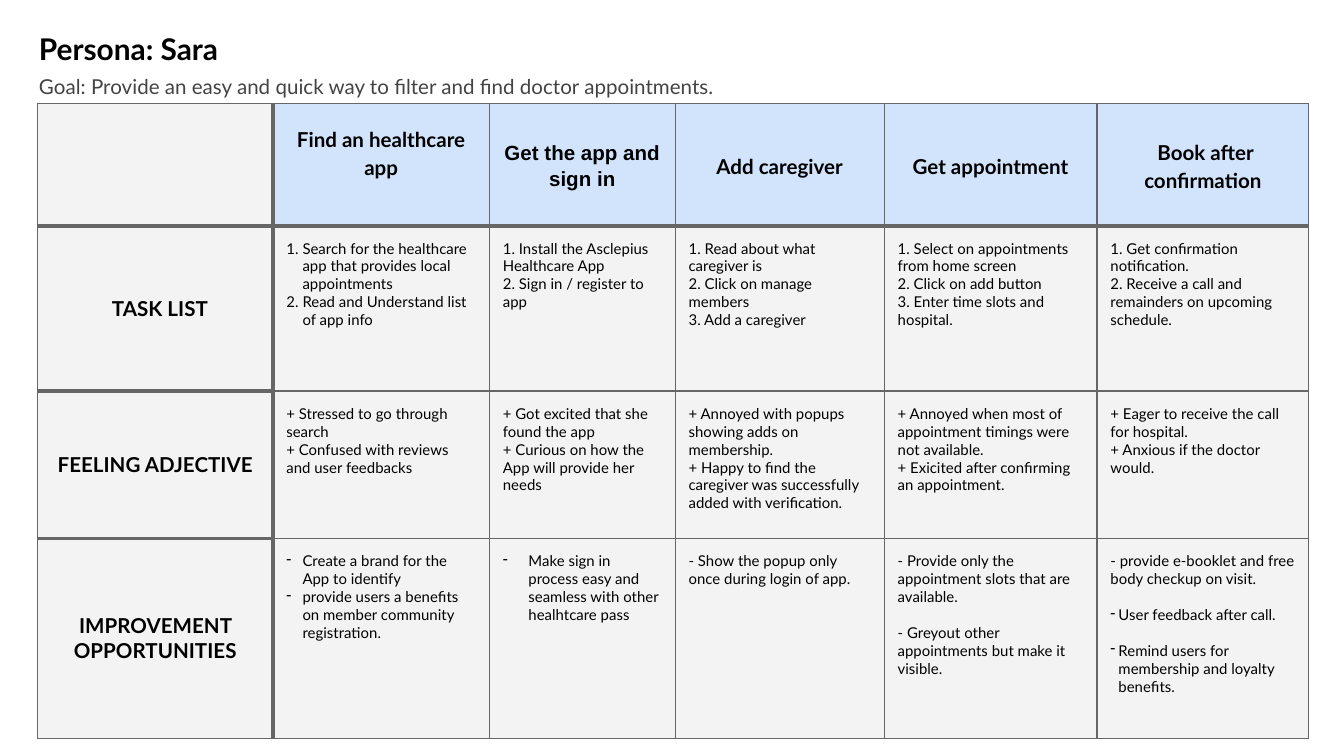
from collections import namedtuple

from lxml.etree import SubElement
from pptx import Presentation
from pptx.dml.color import RGBColor
from pptx.enum.text import MSO_ANCHOR as Anchor, MSO_AUTO_SIZE as AutoSize, PP_ALIGN as Align
from pptx.oxml.ns import qn
from pptx.util import Pt

Item = namedtuple("Item", "text marker indent hang gap", defaults=("", 0, 0, 0))


def numbered(text):
    return Item(text, "1.", 8.64, 8.64)


def dashed(text, indent=8.64, gap=0):
    return Item(text, "-", indent, indent, gap)


TITLE = "Persona: Sara"
GOAL = "Goal: Provide an easy and quick way to filter and find doctor appointments."
STEPS = ["Find an healthcare app", "Get the app and sign in", "Add caregiver",
         "Get appointment", " Book after confirmation"]
ROWS = [
    (Item("TASK LIST", indent=13.68, hang=8.64), [
        [numbered("Search for the healthcare app that provides local appointments"),
         numbered("Read and Understand list of app info")],
        [Item("1. Install the Asclepius Healthcare App"), Item("2. Sign in / register to app")],
        [Item("1. Read about what caregiver is"), Item("2. Click on manage members"),
         Item("3. Add a caregiver")],
        [Item("1. Select on appointments from home screen"), Item("2. Click on add button"),
         Item("3. Enter time slots and hospital.")],
        [Item("1. Get confirmation notification."),
         Item("2. Receive a call and remainders on upcoming schedule.")],
    ]),
    (Item("FEELING ADJECTIVE"), [
        [Item("+ Stressed to go through search"),
         Item("+ Confused with reviews and user feedbacks")],
        [Item("+ Got excited that she found the app"),
         Item("+ Curious on how the App will provide her needs")],
        [Item("+ Annoyed with popups showing adds on membership."),
         Item("+ Happy to find the caregiver was successfully added with verification.")],
        [Item("+ Annoyed when most of appointment timings were not available."),
         Item("+ Exicited after confirming an appointment.")],
        [Item("+ Eager to receive the call for hospital."), Item("+ Anxious if the doctor would.")],
    ]),
    (Item("IMPROVEMENT OPPORTUNITIES"), [
        [dashed("Create a brand for the App to identify"),
         dashed("provide users a benefits on member community registration.")],
        [dashed("Make sign in process easy and seamless with other healhtcare pass", 13.68)],
        [Item("- Show the popup only once during login of app.")],
        [Item("- Provide only the appointment slots that are available."),
         Item("- Greyout other appointments but make it visible.", gap=9.6)],
        [Item("- provide e-booklet and free body checkup on visit."),
         dashed("User feedback after call.", 4.32, 9.6),
         dashed("Remind users for membership and loyalty benefits.", 4.32, 9.6)],
    ]),
]
WIDTHS = [126, 116, 99.5, 112, 114, 113.5]
HEIGHTS = [65.5, 88.5, 79, 107]
BLACK, GREY, LINE, PALE, BLUE = "000000", "434343", "666666", "F3F3F3", "D2E3FC"
INSET = 7.2


def rgb(code):
    return RGBColor.from_string(code)


def set_insets(holder):
    for side in ("left", "right", "top", "bottom"):
        setattr(holder, f"margin_{side}", Pt(INSET))


def set_font(paragraph, size, color=BLACK, bold=False, name="Lato"):
    font = paragraph.font
    font.size, font.bold, font.name = Pt(size), bold, name
    font.color.rgb = rgb(color)


def fill_heading(placeholder, text, box, size, color, bold):
    placeholder.left, placeholder.top, placeholder.width, placeholder.height = map(Pt, box)
    frame = placeholder.text_frame
    frame.text = text
    frame.auto_size, frame.word_wrap, frame.vertical_anchor = AutoSize.NONE, True, Anchor.TOP
    set_insets(frame)
    paragraph = frame.paragraphs[0]
    paragraph.alignment, paragraph.space_before = Align.LEFT, Pt(0)
    set_font(paragraph, size, color, bold)


def set_marker(paragraph, item):
    properties = paragraph._p.get_or_add_pPr()
    properties.set("marL", str(Pt(item.indent)))
    properties.set("indent", str(-Pt(item.hang)))
    if item.marker == "1.":
        SubElement(properties, qn("a:buAutoNum"), type="arabicPeriod")
    elif item.marker:
        SubElement(properties, qn("a:buChar"), char=item.marker)


def set_borders(cell, row, column):
    def below(r):
        return 2.25 if r == 0 or (column == 0 and 0 < r < len(ROWS)) else 0.75

    def after(c):
        return 2.25 if c == 0 else 0.75

    widths = {"L": after(column - 1), "R": after(column), "T": below(row - 1), "B": below(row)}
    for side, width in widths.items():
        edge = SubElement(cell._tc.get_or_add_tcPr(), qn(f"a:ln{side}"), w=str(Pt(width)))
        SubElement(SubElement(edge, qn("a:solidFill")), qn("a:srgbClr"), val=LINE)


def write_cell(cell, items, heading, font_name="Lato", line_spacing=None):
    cell.vertical_anchor = Anchor.MIDDLE if heading else Anchor.TOP
    frame = cell.text_frame
    for index, item in enumerate(items):
        paragraph = frame.add_paragraph() if index else frame.paragraphs[0]
        paragraph.text = item.text
        paragraph.alignment = Align.CENTER if heading else Align.LEFT
        if item.indent:
            set_marker(paragraph, item)
        if item.gap:
            paragraph.space_before = Pt(item.gap)
        if line_spacing:
            paragraph.line_spacing = line_spacing
        set_font(paragraph, 11 if heading else 8, bold=heading, name=font_name)


def build():
    """Build the persona journey slide and save it."""
    deck = Presentation()
    deck.slide_width, deck.slide_height = Pt(720), Pt(405)
    slide = deck.slides.add_slide(deck.slide_layouts[0])
    heading, goal = slide.placeholders
    fill_heading(heading, TITLE, (13.7, 9.4, 151, 31.7), 16, BLACK, True)
    fill_heading(goal, GOAL, (13.7, 32.4, 668, 21.6), 11, GREY, False)

    journey = slide.shapes.add_table(len(HEIGHTS), len(WIDTHS), Pt(20.2), Pt(55.5),
                                     Pt(sum(WIDTHS)), Pt(sum(HEIGHTS))).table
    journey.first_row = journey.horz_banding = False
    for column, width in zip(journey.columns, WIDTHS):
        column.width = Pt(width)
    for row, height in zip(journey.rows, HEIGHTS):
        row.height = Pt(height)

    for r in range(len(HEIGHTS)):
        for c in range(len(WIDTHS)):
            cell = journey.cell(r, c)
            set_insets(cell)
            set_borders(cell, r, c)
            cell.fill.solid()
            cell.fill.fore_color.rgb = rgb(BLUE if r == 0 and c else PALE)

    for c, step in enumerate(STEPS, 1):
        write_cell(journey.cell(0, c), [Item(step)], True, "Arial" if c == 2 else "Lato", 1.15)
    journey.cell(0, 1).margin_bottom = Pt(INSET + 14)
    for r, (label, entries) in enumerate(ROWS, 1):
        write_cell(journey.cell(r, 0), [label], True)
        for c, items in enumerate(entries, 1):
            write_cell(journey.cell(r, c), items, False)
    deck.save("out.pptx")


if __name__ == "__main__":
    build()
